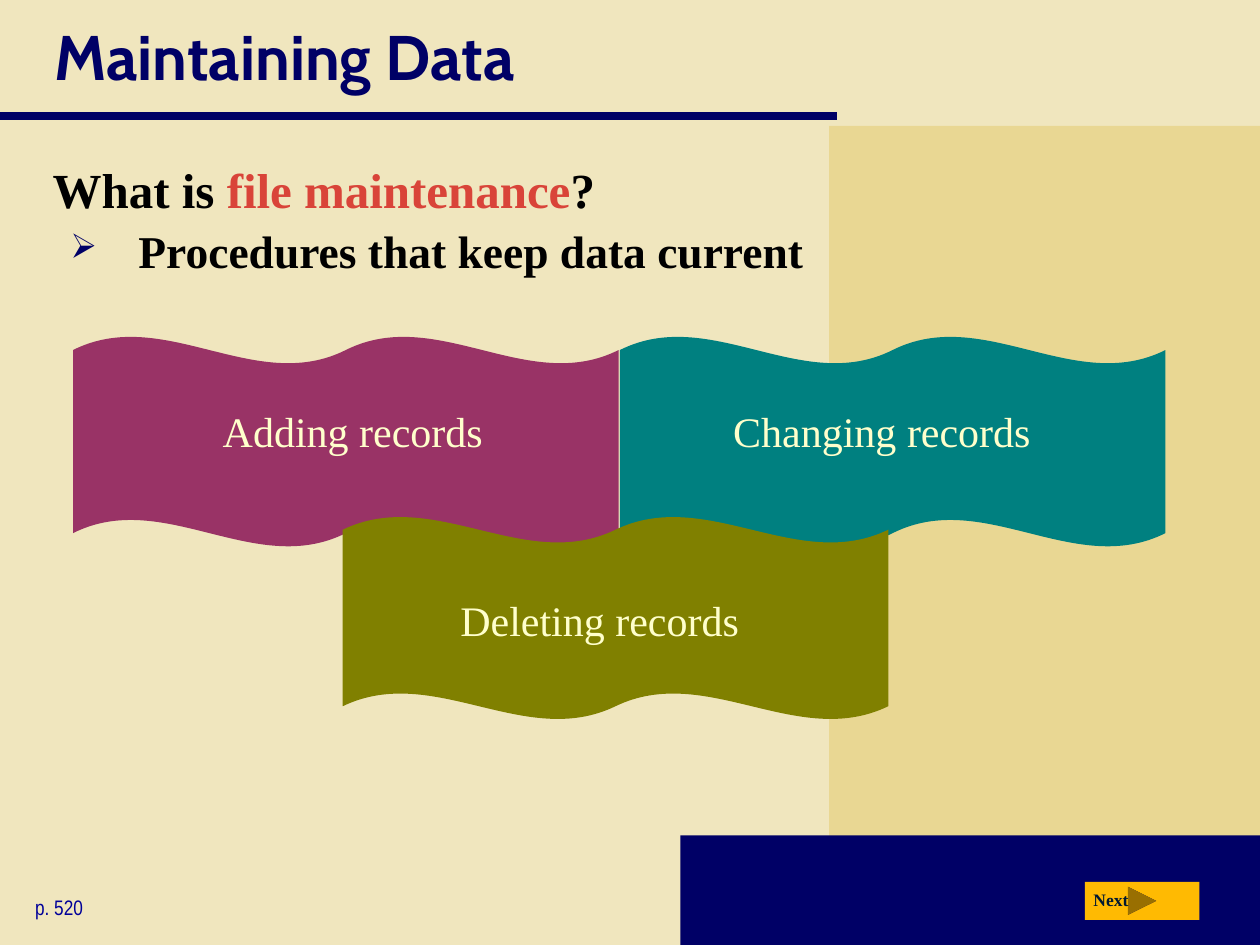
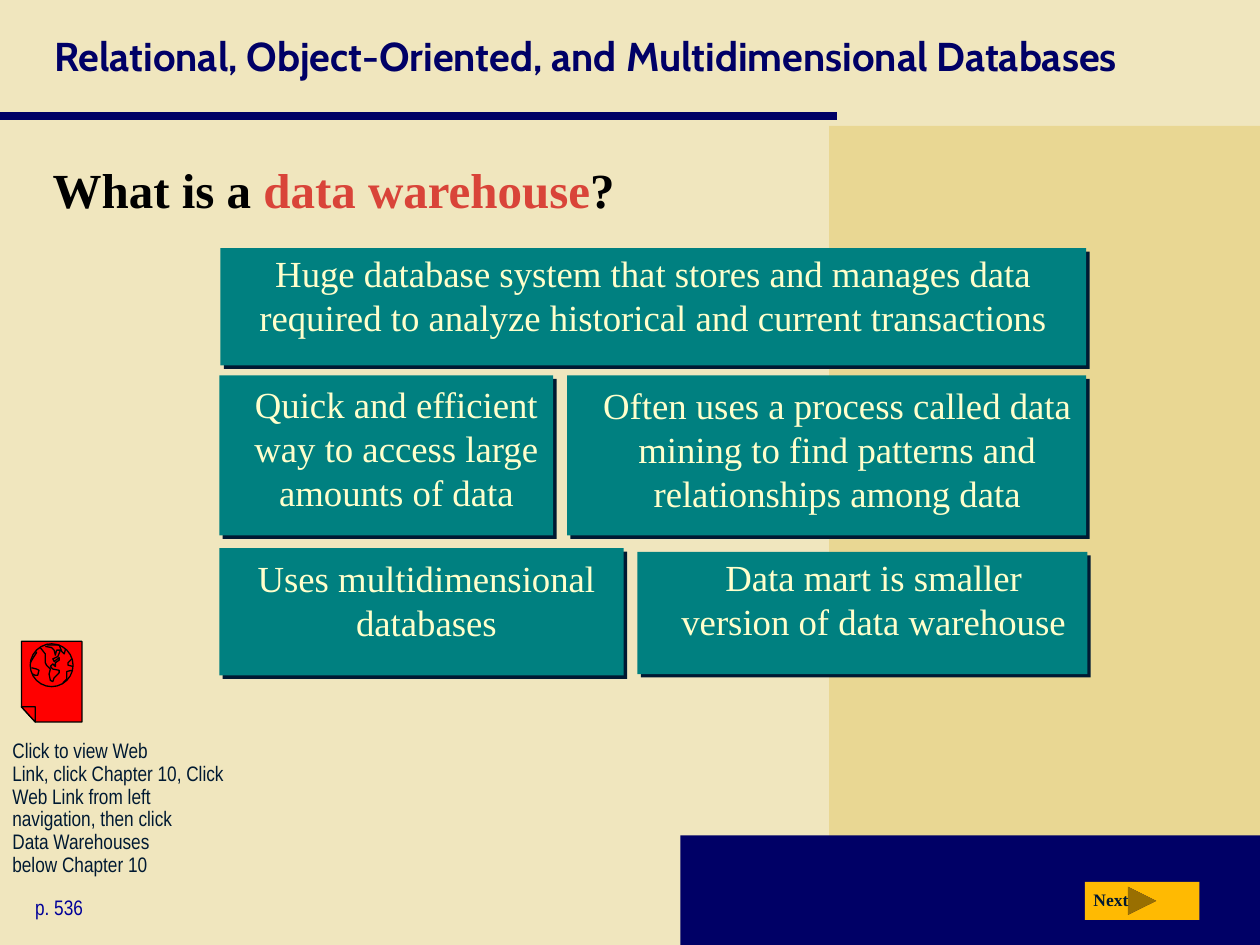
import dataclasses
import pptx
import pptx.dml.color
import pptx.enum.shapes
import pptx.enum.text
import pptx.oxml
import pptx.oxml.ns
import pptx.util
from pptx.util import Inches

SHAPE = pptx.enum.shapes.MSO_SHAPE
ALIGN = pptx.enum.text.PP_ALIGN
ANCHOR = pptx.enum.text.MSO_ANCHOR


@dataclasses.dataclass(frozen=True)
class Theme:
    sand: str = "F0E6BE"
    wheat: str = "E9D793"
    navy: str = "000066"
    blue: str = "000099"
    ink: str = "001932"
    black: str = "000000"
    coral: str = "D94439"
    amber: str = "FFBA02"
    teal: str = "008080"
    plum: str = "993366"
    olive: str = "808000"
    cream: str = "FFFFCC"
    red: str = "FF0000"
    heading: str = "Cabin"
    serif: str = "Times New Roman"
    narrow: str = "Arial Narrow"
    question_size: int = 28
    bullet_size: int = 26
    wave_size: int = 24
    card_size: int = 21
    small_size: int = 12
    button_size: int = 10


theme = Theme()


def add_box(page, kind, at, fill=None):
    place = [Inches(value) for value in at]
    if kind is None:
        box = page.shapes.add_textbox(*place)
    else:
        box = page.shapes.add_shape(kind, *place)
        box.shadow.inherit = False
        box.fill.solid()
        box.fill.fore_color.rgb = pptx.dml.color.RGBColor.from_string(fill)
        box.line.fill.background()
    box.text_frame.word_wrap = True
    box.text_frame.vertical_anchor = ANCHOR.TOP
    return box


def write(box, runs, size, font, bold=False, align=ALIGN.LEFT):
    para = box.text_frame.paragraphs[0]
    para.alignment = align
    for text, color in runs:
        for number, line in enumerate(text.split("\n")):
            if number:
                para.add_line_break()
            span = para.add_run()
            span.text = line
            span.font.size = pptx.util.Pt(size)
            span.font.name = font
            span.font.bold = bold
            span.font.color.rgb = pptx.dml.color.RGBColor.from_string(color)
    return para


deck = pptx.Presentation()
deck.slide_width, deck.slide_height = Inches(10), Inches(7.5)
background = deck.slide_master.background.fill
background.solid()
background.fore_color.rgb = pptx.dml.color.RGBColor.from_string(theme.sand)

topics = [
    ("Maintaining Data", 36, "What is ", "file maintenance", "p. 520"),
    ("Relational, Object-Oriented, and Multidimensional Databases", 23,
     "What is a ", "data warehouse", "p. 536"),
]
pages = []
for heading, heading_size, lead, term, reference in topics:
    page = deck.slides.add_slide(deck.slide_layouts[5])
    pages.append(page)
    add_box(page, SHAPE.RECTANGLE, (6.58, 1, 3.42, 6.5), theme.wheat)
    add_box(page, SHAPE.RECTANGLE, (5.4, 6.63, 4.6, 0.87), theme.navy)
    rule = page.shapes.add_connector(
        pptx.enum.shapes.MSO_CONNECTOR.STRAIGHT,
        Inches(0), Inches(0.92), Inches(6.64), Inches(0.92))
    rule.line.width = pptx.util.Pt(5)
    rule.line.color.rgb = pptx.dml.color.RGBColor.from_string(theme.navy)
    pptx.oxml.ns.qn("a:effectLst")
    rule._element.spPr.append(pptx.oxml.parse_xml(
        f'<a:effectLst {pptx.oxml.ns.nsdecls("a")}/>'))

    title = page.shapes.title
    title.left, title.top = Inches(0.33), Inches(0)
    title.width, title.height = Inches(9.67), Inches(0.88)
    title.text_frame.auto_size = pptx.enum.text.MSO_AUTO_SIZE.NONE
    title.text_frame.vertical_anchor = ANCHOR.MIDDLE
    write(title, [(heading, theme.navy)], heading_size, theme.heading, True)

    question = add_box(page, None, (0.32, 1.22, 9.39, 0.62))
    write(question, [(lead, theme.black), (term, theme.coral), ("?", theme.black)],
          theme.question_size, theme.serif, True)
    footer = add_box(page, None, (0.18, 7.05, 1.69, 0.3))
    write(footer, [(reference, theme.blue)], theme.small_size, theme.narrow)
    add_box(page, SHAPE.ACTION_BUTTON_FORWARD_OR_NEXT, (8.61, 7, 0.91, 0.3), theme.amber)
    button_label = add_box(page, None, (8.58, 7.01, 0.51, 0.27))
    write(button_label, [("Next", theme.ink)], theme.button_size, theme.serif, True)

maintenance, warehouse = pages

waves = [
    ("Changing records", (4.92, 2.67, 4.33, 1.67), theme.teal, (5, 3.17, 4, 0.5)),
    ("Adding records", (0.58, 2.67, 4.33, 1.67), theme.plum, (0.8, 3.17, 4, 0.5)),
    ("Deleting records", (2.72, 4.1, 4.33, 1.61), theme.olive, (2.76, 4.67, 4, 0.5)),
]
for label, wave_place, fill, label_place in waves:
    wave = add_box(maintenance, SHAPE.DOUBLE_WAVE, wave_place, fill)
    wave.adjustments[0], wave.adjustments[1] = 0.065, 0
    write(add_box(maintenance, None, label_place), [(label, theme.cream)],
          theme.wave_size, theme.serif, align=ALIGN.CENTER)

answer = add_box(maintenance, None, (0.33, 1.72, 9.39, 0.86))
properties = answer.text_frame.paragraphs[0]._p.get_or_add_pPr()
properties.set("marL", str(Inches(0.67)))
properties.set("indent", str(Inches(-0.54)))
for bullet in (f'<a:buClr {{}}><a:srgbClr val="{theme.navy}"/></a:buClr>',
               '<a:buSzPct {} val="75000"/>', '<a:buChar {} char="➢"/>'):
    properties.append(pptx.oxml.parse_xml(bullet.format(pptx.oxml.ns.nsdecls("a"))))
write(answer, [("Procedures that keep data current", theme.black)],
      theme.bullet_size, theme.serif, True)

cards = [
    ("Data mart is smaller version of data warehouse",
     (5.06, 4.38, 3.57, 0.97), (0.27, 0.02, 0.09)),
    ("Uses multidimensional databases",
     (1.74, 4.35, 3.21, 1.01), (0.27, 0.06, 0.19)),
    ("Often uses a process called data mining to find patterns and relationships among data",
     (4.5, 2.98, 4.12, 1.27), (0.28, 0.06, 0.11)),
    ("Huge database system that stores and manages data required to analyze "
     "historical and current transactions",
     (1.75, 1.97, 6.87, 0.93), (0.23, 0.02, 0.23)),
    ("Quick and efficient way to access large amounts of data",
     (1.74, 2.98, 2.65, 1.27), (0.26, 0.05, 0.1)),
]
for fact, place, (left, top, right) in cards:
    card = add_box(warehouse, SHAPE.RECTANGLE, place, theme.teal)
    card._element.spPr.find(pptx.oxml.ns.qn("a:effectLst")).append(pptx.oxml.parse_xml(
        f'<a:outerShdw {pptx.oxml.ns.nsdecls("a")} dist="{pptx.util.Pt(2.8)}" '
        f'dir="2700000" algn="ctr" rotWithShape="0">'
        f'<a:srgbClr val="{theme.ink}"/></a:outerShdw>'))
    frame = card.text_frame
    frame.margin_left, frame.margin_top = Inches(left), Inches(top)
    frame.margin_right, frame.margin_bottom = Inches(right), Inches(0)
    write(card, [(fact, theme.cream)], theme.card_size, theme.serif, align=ALIGN.CENTER)

web_note = add_box(warehouse, None, (0, 5.83, 2.17, 0.67))
web_note.text_frame.word_wrap = False
note_para = write(web_note, [(
    "Click to view Web\nLink, click Chapter 10, Click\nWeb Link from left\n"
    "navigation, then click\nData Warehouses\nbelow Chapter 10", theme.ink)],
    theme.small_size, theme.narrow)
note_para.line_spacing = 0.9

sheet = [(17, 509), (65, 509), (65, 573), (28, 573), (17, 561)]
fold = [(17, 561), (28, 561), (28, 573)]
west_coast = [(24, 526), (27, 521), (29, 518), (28, 517)]
west_ocean = [(25, 530), (29, 531), (31, 532), (30, 536), (28, 536), (26, 535)]
east_africa = [(50, 542), (53, 539), (53, 533), (57, 532)]
east_asia = [(58, 529), (54, 528), (54, 526), (57, 523)]
north_rim = [(37, 511), (38, 512), (47, 512), (49, 517), (51, 519), (52, 515)]
americas = [(32, 514), (36, 519), (36, 526), (37, 528), (40, 531), (39, 535),
            (40, 540), (42, 541), (43, 538), (47, 534), (47, 532), (42, 531),
            (40, 529), (42, 527), (44, 529), (44, 526), (47, 524), (47, 522),
            (43, 525), (42, 523), (46, 521), (48, 516), (45, 516), (44, 520),
            (43, 516), (41, 514), (36, 513)]
globe = add_box(warehouse, SHAPE.OVAL, (0.24, 5.11, 0.34, 0.34), theme.red)
outlines = [(sheet, True), (fold, True), (west_coast, False), (west_ocean, False),
            (east_africa, False), (east_asia, False), (north_rim, False), (americas, False)]
icon_parts = [globe]
for points, closed in outlines:
    builder = warehouse.shapes.build_freeform(*points[0], scale=Inches(0.01))
    builder.add_line_segments(points[1:], close=closed)
    part = builder.convert_to_shape()
    part.shadow.inherit = False
    if closed:
        part.fill.solid()
        part.fill.fore_color.rgb = pptx.dml.color.RGBColor.from_string(theme.red)
    else:
        part.fill.background()
    icon_parts.append(part)
for part in icon_parts:
    part.line.width = pptx.util.Pt(0.75)
    part.line.color.rgb = pptx.dml.color.RGBColor.from_string(theme.black)
icon_parts[2]._element.addnext(globe._element)

deck.save("out.pptx")
